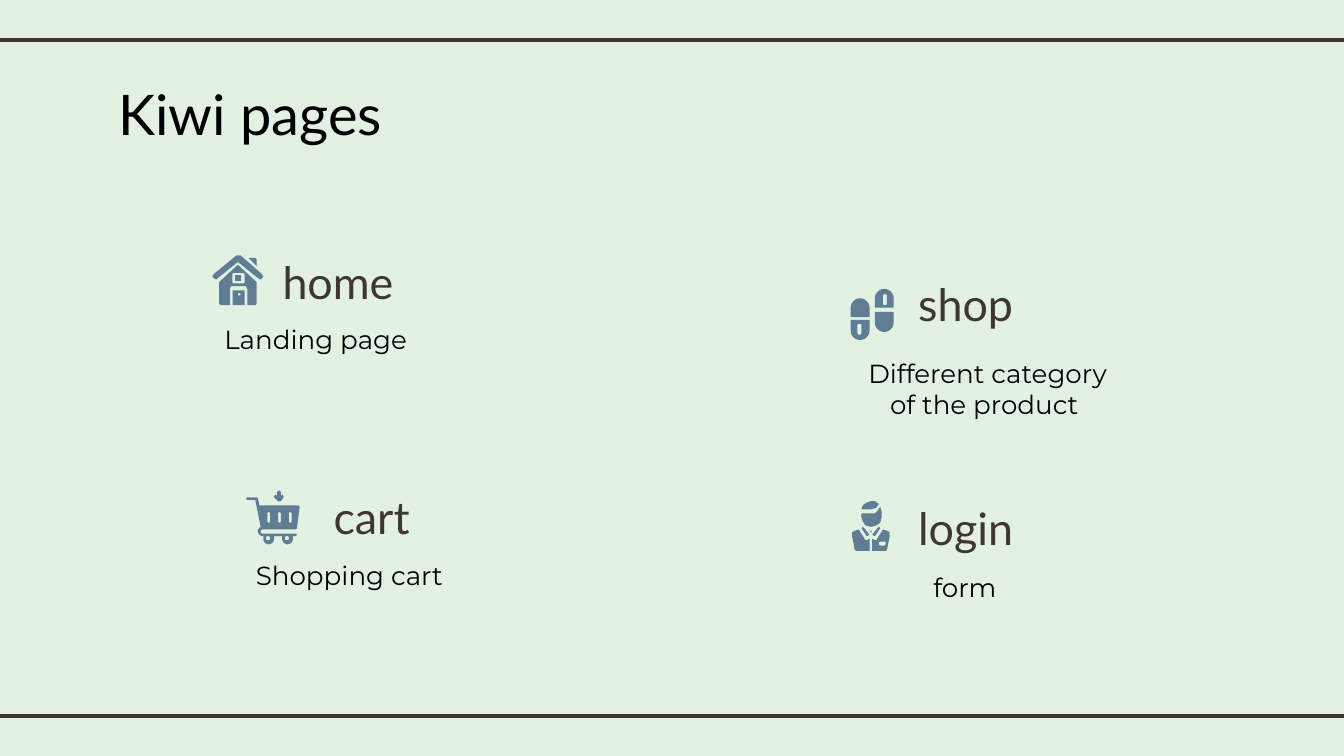
from math import cos, radians, sin
from typing import NamedTuple

from lxml import etree
from pptx import Presentation
from pptx import util as u
from pptx.dml.color import RGBColor
from pptx.enum import text
from pptx.oxml.ns import qn

MINT, BROWN, BLUE, BLACK = "E3F1E2", "3F3533", "5F7D95", "000000"
Ring = list[tuple[float, float]]
Form = list[Ring]  # an outline, then its holes and further parts


class Page(NamedTuple):
    name: str
    head: tuple[float, float]
    note: str
    body: tuple[float, float]
    icon: list[Form]


def color(code: str) -> RGBColor:
    return RGBColor.from_string(code)


def box(left: float, top: float, wide: float, high: float,
        up: float = 0, low: float = 0) -> Ring:
    """Outline of a box with corner radius up at the top and low at the bottom."""
    right, base = left + wide, top + high
    turns = [(left + up, top + up, up, 180), (right - up, top + up, up, 270),
             (right - low, base - low, low, 0), (left + low, base - low, low, 90)]
    return [(x + r * cos(radians(start + step)), y + r * sin(radians(start + step)))
            for x, y, r, start in turns
            for step in (range(0, 91, 15) if r else (0,))]


def flip(ring: Ring, axis: float) -> Ring:
    """Mirror an outline about a vertical axis."""
    return [(2 * axis - x, y) for x, y in ring]


def house() -> list[Form]:
    chimney = [(1.85, 1.92), (1.91, 1.98), (1.91, 1.93), (1.9, 1.92)]
    roof = [(1.77, 1.9), (1.76, 1.9), (1.59, 2.04), (1.58, 2.06), (1.59, 2.07),
            (1.61, 2.08), (1.62, 2.07), (1.77, 1.95), (1.92, 2.07), (1.94, 2.08),
            (1.95, 2.07), (1.96, 2.06), (1.95, 2.04), (1.79, 1.9)]
    wall = [(1.77, 1.97), (1.63, 2.1), (1.63, 2.26), (1.64, 2.27), (1.71, 2.27),
            (1.71, 2.15), (1.72, 2.13), (1.83, 2.13), (1.84, 2.15), (1.84, 2.27),
            (1.9, 2.27), (1.91, 2.26), (1.91, 2.1)]
    return [
        [chimney],
        [box(1.73, 2.16, 0.09, 0.11), box(1.77, 2.18, 0.02, 0.02, 0.01, 0.01)],
        [box(1.75, 2.05, 0.04, 0.04)],
        [roof],
        [wall, box(1.73, 2.03, 0.09, 0.08, 0.01, 0.01)],
    ]


def cart() -> list[Form]:
    arrow = [(2.08, 3.65), (2.06, 3.66), (2.06, 3.69), (2.05, 3.68), (2.04, 3.69),
             (2.04, 3.7), (2.07, 3.73), (2.09, 3.73), (2.11, 3.7), (2.11, 3.69),
             (2.1, 3.68), (2.09, 3.69), (2.09, 3.66)]
    frame = [(1.84, 3.7), (1.91, 3.7), (1.92, 3.71), (1.93, 3.76), (2.22, 3.76),
             (2.23, 3.77), (2.21, 3.93), (2.2, 3.94), (1.95, 3.94), (1.94, 3.95),
             (1.94, 3.96), (1.95, 3.97), (2.2, 3.97), (2.21, 3.98), (2.2, 3.99),
             (1.95, 3.99), (1.93, 3.98), (1.92, 3.96), (1.92, 3.94), (1.94, 3.92),
             (1.9, 3.72), (1.84, 3.72), (1.83, 3.71)]
    slots = [box(1.99 + 0.08 * n, 3.81, 0.02, 0.08, 0.01, 0.01) for n in range(3)]
    wheels = [ring for x in (1.96, 2.1)
              for ring in (box(x, 3.99, 0.08, 0.06, 0, 0.04),
                           box(x + 0.02, 3.99, 0.03, 0.03, 0.01, 0.01))]
    return [[arrow], [frame, *slots, *wheels]]


def shoes() -> list[Form]:
    def heel(x: float, y: float) -> Ring:
        return box(x, y, 0.14, 0.15, 0, 0.07)

    def toe(x: float, y: float) -> Ring:
        return box(x, y, 0.14, 0.14, 0.07)

    def mark(x: float, y: float) -> Ring:
        return box(x, y, 0.03, 0.08, 0.01, 0.01)

    return [[toe(6.33, 2.22)], [heel(6.51, 2.32)],
            [heel(6.33, 2.38), mark(6.38, 2.41)],
            [toe(6.51, 2.15), mark(6.57, 2.19)]]


def user() -> list[Form]:
    mid = 6.48
    face = [(6.55, 3.77), (6.53, 3.8), (6.51, 3.82), (6.48, 3.82), (6.41, 3.82),
            (6.41, 3.85), (6.42, 3.88), (6.44, 3.91), (6.48, 3.92), (6.52, 3.91),
            (6.55, 3.89), (6.56, 3.85), (6.56, 3.81)]
    hair = [(6.48, 3.73), (6.45, 3.74), (6.42, 3.76), (6.41, 3.79), (6.48, 3.79),
            (6.52, 3.78), (6.54, 3.75), (6.51, 3.73)]
    coat = [(6.39, 3.94), (6.36, 3.95), (6.34, 3.96), (6.34, 3.99), (6.36, 4.09),
            (6.37, 4.1), (6.47, 4.1), (6.47, 4.01), (6.45, 4.02), (6.44, 4.02)]
    lapel = [(6.42, 3.92), (6.41, 3.93), (6.45, 3.99), (6.47, 3.98), (6.44, 3.94)]
    knot = [(6.47, 3.95), (6.48, 3.96), (6.49, 3.95)]
    badge = box(6.54, 4.03, 0.05, 0.03, 0.01, 0.01)
    return [[face], [hair], [coat], [flip(coat, mid), badge],
            [lapel], [flip(lapel, mid)], [knot]]


PAGES = [
    Page("shop", (5.92, 2.06), "Different category of the product ", (6.25, 2.56), shoes()),
    Page("home", (1.25, 1.9), "Landing page", (1.25, 2.31), house()),
    Page("login", (5.92, 3.73), "form", (6.08, 4.15), user()),
    Page("cart", (1.5, 3.65), "Shopping cart", (1.5, 4.06), cart()),
]


def write(shape, words: str, size: float, font: str, tint: str,
          align=text.PP_ALIGN.CENTER, anchor=text.MSO_ANCHOR.TOP) -> None:
    frame = shape.text_frame
    form = {"word_wrap": True, "auto_size": text.MSO_AUTO_SIZE.NONE,
            "vertical_anchor": anchor}
    form |= {f"margin_{side}": u.Inches(0.1)
             for side in ("left", "top", "right", "bottom")}
    for key, value in form.items():
        setattr(frame, key, value)
    frame.text = words
    para = frame.paragraphs[0]
    para.alignment = align
    for key, value in {"size": u.Pt(size), "name": font}.items():
        setattr(para.runs[0].font, key, value)
    para.runs[0].font.color.rgb = color(tint)


def rule(slide, y: float) -> None:
    line = slide.shapes.add_connector(
        1, u.Inches(-0.08), u.Inches(y), u.Inches(10.08), u.Inches(y))
    line.line.color.rgb = color(BROWN)
    line.line.width = u.Pt(2.25)
    etree.SubElement(line._element.spPr, qn("a:effectLst"))


def draw(group, form: Form) -> None:
    rings = [[(u.Inches(x), u.Inches(y)) for x, y in ring] for ring in form]
    pen = group.shapes.build_freeform(*rings[0][0])
    pen.add_line_segments(rings[0][1:])
    for ring in rings[1:]:
        pen.move_to(*ring[0])
        pen.add_line_segments(ring[1:])
    shape = pen.convert_to_shape()
    shape.shadow.inherit = False
    shape.fill.solid()
    shape.fill.fore_color.rgb = color(BLUE)
    shape.line.fill.background()


def label(slide, spot: tuple[float, float], wide: float, high: float, *args, **form) -> None:
    area = slide.shapes.add_textbox(*map(u.Inches, (*spot, wide, high)))
    write(area, *args, **form)


def main() -> None:
    deck = Presentation()
    deck.slide_width = u.Inches(10)
    deck.slide_height = deck.slide_width * 9 // 16
    slide = deck.slides.add_slide(deck.slide_layouts[5])
    slide.background.fill.solid()
    slide.background.fill.fore_color.rgb = color(MINT)
    for y in (0.3, 5.33):
        rule(slide, y)

    title = slide.shapes.title
    spot = {"left": 0.78, "top": 0.49, "width": 6.65, "height": 0.63}
    for key, value in spot.items():
        setattr(title, key, u.Inches(value))
    write(title, "Kiwi pages", 30, "Lato", BLACK, align=text.PP_ALIGN.LEFT)

    for page in PAGES:
        label(slide, page.head, 2.53, 0.39, page.name, 24, "Lato", BROWN,
              anchor=text.MSO_ANCHOR.MIDDLE)
        label(slide, page.body, 2.2, 0.63, page.note, 14, "Montserrat", BLACK)
    for page in PAGES:
        group = slide.shapes.add_group_shape()
        for form in page.icon:
            draw(group, form)
    deck.save("out.pptx")


if __name__ == "__main__":
    main()
